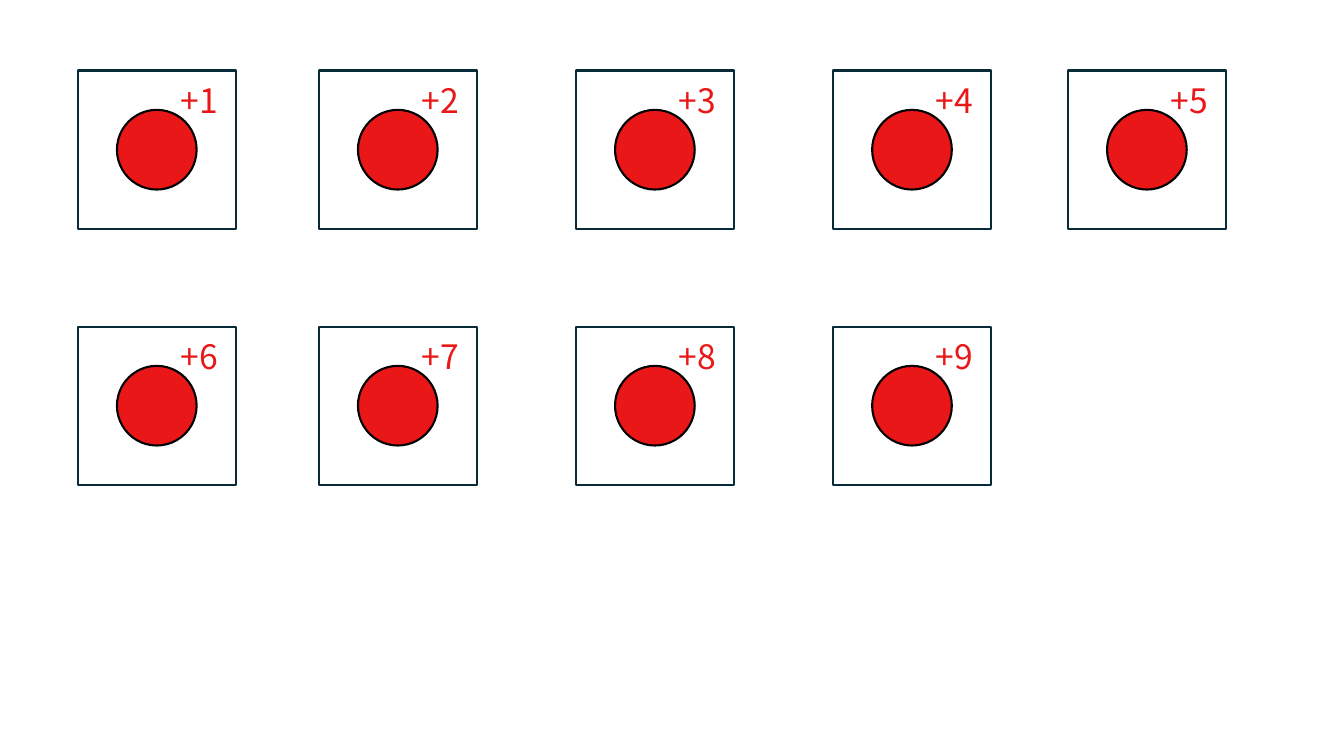
"""Draw a grid of numbered cards, each with a red disc."""
from dataclasses import dataclass

from pptx import Presentation
from pptx.dml.color import RGBColor
from pptx.enum import shapes, text
from pptx.util import Inches, Pt


@dataclass(frozen=True)
class Theme:
    paper: str = "FFFFFF"
    frame: str = "092A39"
    ink: str = "000000"
    red: str = "E91717"
    font: str = "Noto Sans CJK KR"
    size: float = 24
    line: float = 1.5


THEME = Theme()
LEFTS = (0.77, 3.16, 5.71, 8.26, 10.59)
TOP, PITCH = 0.7, 2.54
CARD, DISC = 1.57, 0.79
COUNT = 9


def add_form(group, kind, left, top, side, fill, line):
    form = group.shapes.add_shape(
        kind, Inches(left), Inches(top), Inches(side), Inches(side))
    form.shadow.inherit = False
    form.fill.solid()
    form.fill.fore_color.rgb = RGBColor.from_string(fill)
    form.line.color.rgb = RGBColor.from_string(line)
    form.line.width = Pt(THEME.line)


def add_label(group, words, left, top, width, height):
    box = group.shapes.add_textbox(
        Inches(left), Inches(top), Inches(width), Inches(height))
    frame = box.text_frame
    frame.word_wrap = True
    frame.vertical_anchor = text.MSO_ANCHOR.MIDDLE
    line = frame.paragraphs[0]
    line.alignment = text.PP_ALIGN.RIGHT
    run = line.add_run()
    run.text = words
    run.font.name = THEME.font
    run.font.size = Pt(THEME.size)
    run.font.color.rgb = RGBColor.from_string(THEME.red)


def add_card(slide, words, left, top):
    group = slide.shapes.add_group_shape()
    inset = (CARD - DISC) / 2
    add_form(group, shapes.MSO_SHAPE.RECTANGLE, left, top, CARD,
             THEME.paper, THEME.frame)
    add_form(group, shapes.MSO_SHAPE.OVAL, left + inset, top + inset, DISC,
             THEME.red, THEME.ink)
    add_label(group, words, left + 0.81, top + 0.08, 0.68, 0.42)


def main():
    deck = Presentation()
    deck.slide_width, deck.slide_height = Inches(13.33), Inches(7.5)
    slide = deck.slides.add_slide(deck.slide_layouts[6])
    for index in range(COUNT):
        row, col = divmod(index, len(LEFTS))
        add_card(slide, f"+{index + 1}", LEFTS[col], TOP + row * PITCH)
    deck.save("out.pptx")


if __name__ == "__main__":
    main()
